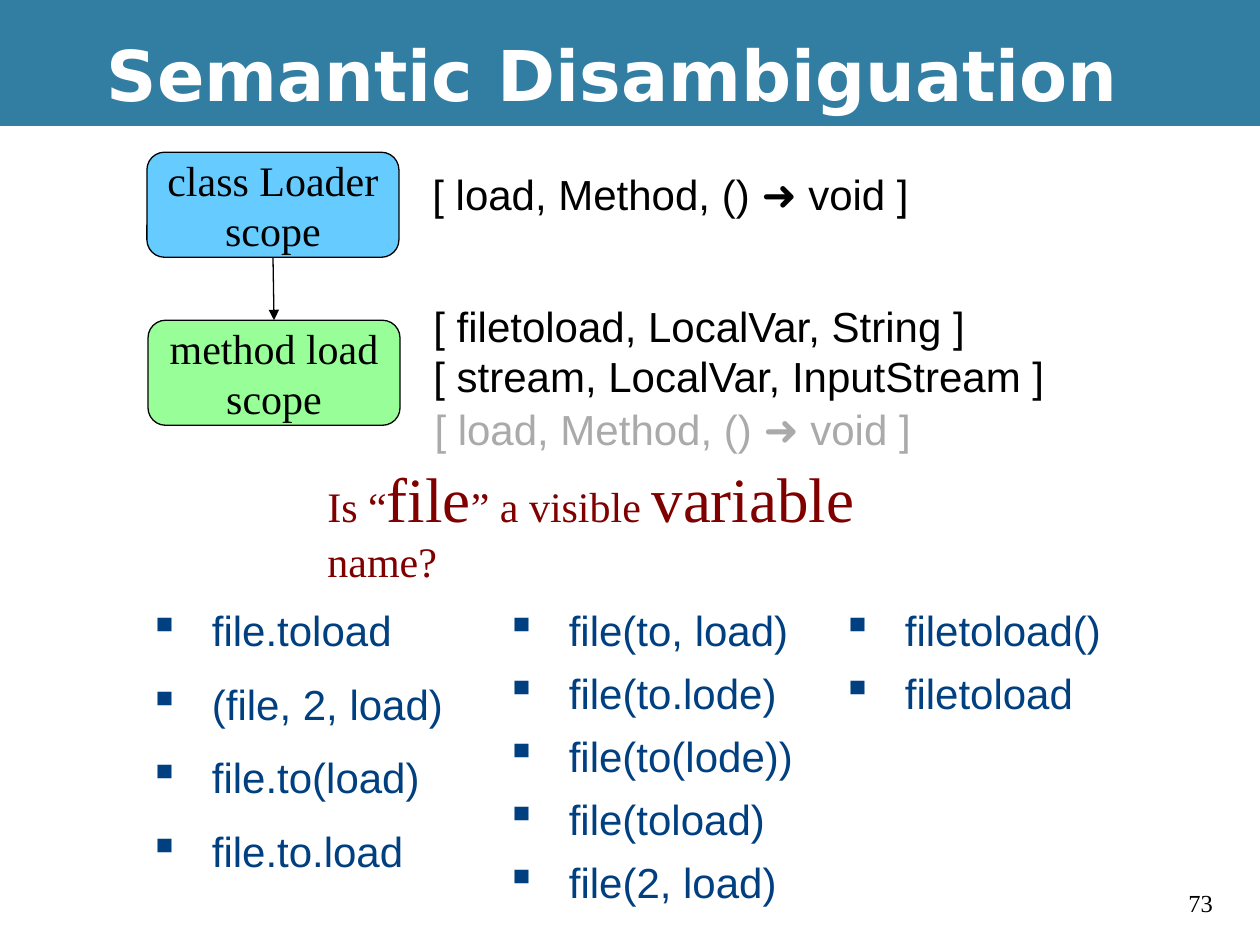
from dataclasses import dataclass

from lxml.etree import SubElement
from pptx import Presentation
from pptx.dml.color import RGBColor
from pptx.enum.shapes import MSO_CONNECTOR, MSO_SHAPE
from pptx.enum.text import MSO_ANCHOR, MSO_AUTO_SIZE, PP_ALIGN
from pptx.oxml.ns import qn
from pptx.util import Inches, Pt


@dataclass(frozen=True)
class Theme:
    black: str = "000000"
    white: str = "FFFFFF"
    band: str = "327EA3"
    class_scope: str = "66CCFF"
    method_scope: str = "98FF98"
    example: str = "004080"
    question: str = "800000"
    inherited: str = "AAAAAA"
    title_font: str = "DejaVu Sans"
    sans: str = "Arial"
    serif: str = "Times New Roman"
    title_size: int = 40
    emphasis_size: int = 36
    body_size: int = 24
    number_size: int = 14
    line_width: float = 0.75


def add_text(paragraph, text, *, font, size, color, bold=False):
    for index, line in enumerate(text.split("\n")):
        if index:
            paragraph.add_line_break()
        run = paragraph.add_run()
        run.text = line
        run.font.name = font
        run.font.size = Pt(size)
        run.font.bold = bold
        run.font.color.rgb = RGBColor.from_string(color)


def grid(*units):
    return [Inches(unit / 12) for unit in units]


class SlideBuilder:
    def __init__(self, slide, theme):
        self.slide = slide
        self.theme = theme

    def panel(self, area, fill, preset=MSO_SHAPE.RECTANGLE):
        shape = self.slide.shapes.add_shape(preset, *grid(*area))
        shape.shadow.inherit = False
        shape.fill.solid()
        shape.fill.fore_color.rgb = RGBColor.from_string(fill)
        shape.line.fill.background()
        return shape

    def scope(self, area, text, fill):
        shape = self.panel(area, fill, MSO_SHAPE.ROUNDED_RECTANGLE)
        shape.adjustments[0] = 0.167
        shape.line.color.rgb = RGBColor.from_string(self.theme.black)
        shape.line.width = Pt(self.theme.line_width)
        frame = shape.text_frame
        frame.word_wrap = False
        frame.vertical_anchor = MSO_ANCHOR.MIDDLE
        paragraph = frame.paragraphs[0]
        paragraph.alignment = PP_ALIGN.CENTER
        add_text(paragraph, text, font=self.theme.serif,
                 size=self.theme.body_size, color=self.theme.black)
        return shape

    def arrow(self, start, end):
        connector = self.slide.shapes.add_connector(MSO_CONNECTOR.STRAIGHT, 0, 0, 0, 0)
        connector.begin_connect(start, 2)
        connector.end_connect(end, 0)
        connector.line.color.rgb = RGBColor.from_string(self.theme.black)
        connector.line.width = Pt(self.theme.line_width)
        SubElement(connector.line._get_or_add_ln(), qn("a:tailEnd"), type="triangle")
        SubElement(connector._element.spPr, qn("a:effectLst"))

    def text_box(self, area, paragraphs, *, shapes=None, wrap=False,
                 anchor=MSO_ANCHOR.TOP, **style):
        style = {"font": self.theme.sans, "size": self.theme.body_size,
                 "color": self.theme.black} | style
        box = (shapes or self.slide.shapes).add_textbox(*grid(*area))
        frame = box.text_frame
        frame.auto_size = MSO_AUTO_SIZE.NONE
        frame.word_wrap = wrap
        frame.vertical_anchor = anchor
        for index, runs in enumerate(paragraphs):
            paragraph = frame.add_paragraph() if index else frame.paragraphs[0]
            for text, size in runs:
                add_text(paragraph, text, **style | {"size": size or style["size"]})
        return box

    def examples(self, left, top, pitch, items):
        group = self.slide.shapes.add_group_shape()
        for index, (text, width) in enumerate(items):
            area = (left, top + index * pitch, width, 6)
            box = self.text_box(area, [[(text, None)]], shapes=group.shapes,
                                color=self.theme.example)
            properties = box.text_frame.paragraphs[0]._p.get_or_add_pPr()
            indent = Inches(0.5)
            properties.set("marL", str(indent))
            properties.set("indent", str(-indent))
            SubElement(properties, qn("a:buChar"), char="▪")


def main():
    presentation = Presentation()
    presentation.slide_width = Inches(10)
    presentation.slide_height = Inches(7.5)
    slide = presentation.slides.add_slide(presentation.slide_layouts[6])
    theme = Theme()
    builder = SlideBuilder(slide, theme)

    slide.background.fill.solid()
    slide.background.fill.fore_color.rgb = RGBColor.from_string(theme.black)
    builder.panel((0, 12, 120, 78), theme.white)
    builder.panel((0, 0, 120, 12), theme.band)
    builder.text_box((112, 84, 6, 4), [[("73", None)]], wrap=True,
                     font=theme.serif, size=theme.number_size)
    builder.text_box((9, 1, 111, 12), [[("Semantic Disambiguation", None)]],
                     wrap=True, anchor=MSO_ANCHOR.MIDDLE, font=theme.title_font,
                     size=theme.title_size, color=theme.white, bold=True)

    example_columns = [
        (47, 6, [("file(to, load)", 29.3), ("file(to.lode)", 28.2),
                 ("file(to(lode))", 29.8), ("file(toload)", 27.1),
                 ("file(2, load)", 28.2)]),
        (13, 7, [("file.toload", 25.6), ("(file, 2, load)", 30.4),
                 ("file.to(load)", 28.2), ("file.to.load", 26.6)]),
        (79, 6, [("filetoload()", 27.1), ("filetoload", 24.5)]),
    ]
    for left, pitch, items in example_columns:
        builder.examples(left, 57, pitch, items)

    class_scope = builder.scope((14, 14.5, 24, 10), "class Loader\nscope", theme.class_scope)
    method_scope = builder.scope((14.1, 30.5, 24, 10), "method load\nscope", theme.method_scope)
    builder.arrow(class_scope, method_scope)

    load_entry = [[("[ load, Method, () ➜ void ]", None)]]
    builder.text_box((40, 15.5, 48.1, 6), load_entry)
    builder.text_box((30, 43.2, 63.7, 8.4),
                     [[("Is “", None), ("file", theme.emphasis_size),
                       ("” a visible ", None), ("variable", theme.emphasis_size),
                       (" name?", None)]],
                     wrap=True, font=theme.serif, color=theme.question)
    builder.text_box((40.1, 28, 61.1, 10.8),
                     [[("[ filetoload, LocalVar, String ]", None)],
                      [("[ stream, LocalVar, InputStream ]", None)]])
    builder.text_box((40.2, 37.8, 48.1, 6), load_entry, color=theme.inherited)

    presentation.save("out.pptx")


if __name__ == "__main__":
    main()
